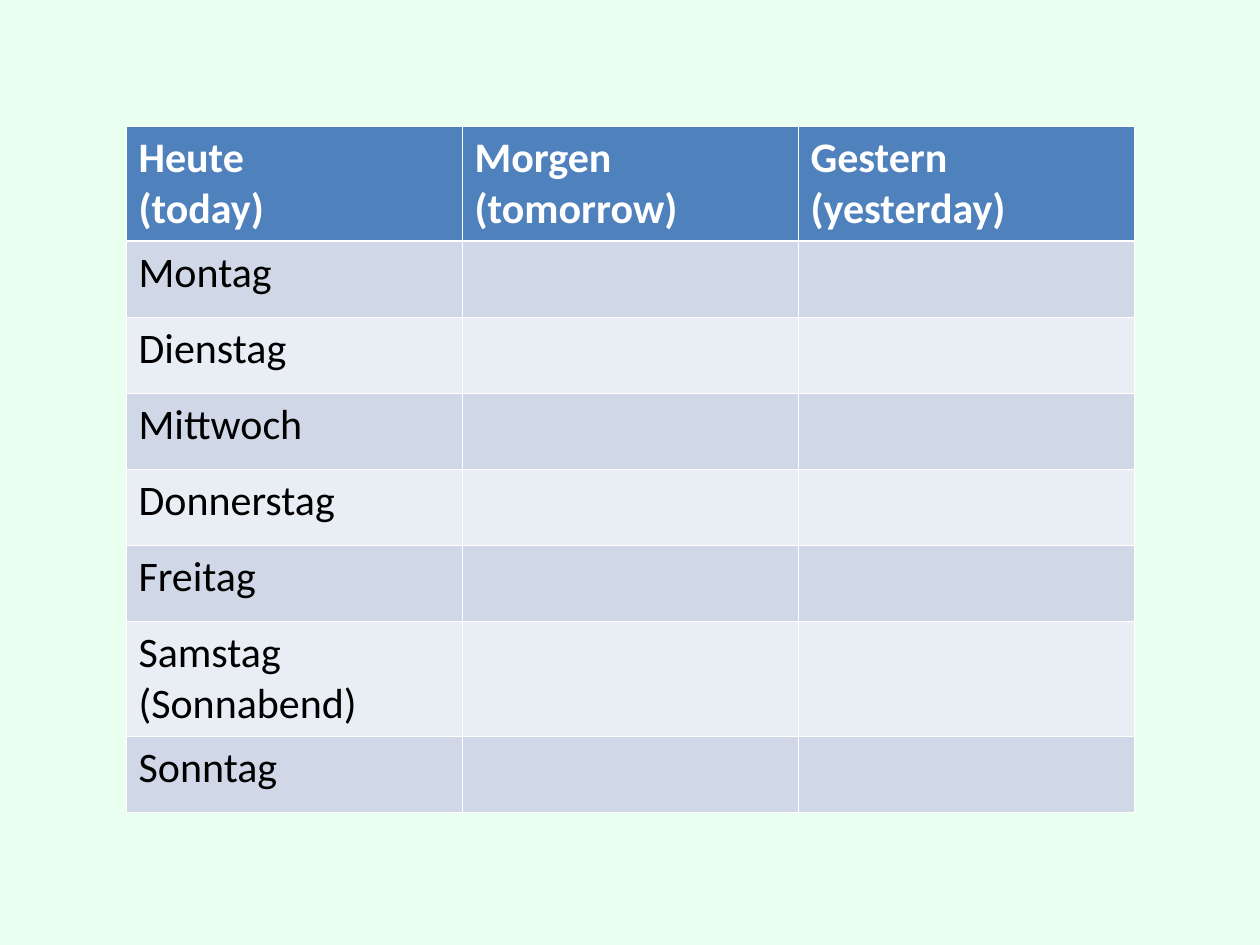
from dataclasses import dataclass

from lxml import etree
from pptx import Presentation, util as u
from pptx.dml.color import RGBColor
from pptx.oxml.ns import qn

SCALE = 914400 / 126  # EMU per px
COLORS = {
    "page": "E9FFEF",
    "head": "4F81BD",
    "odd": "D0D8E8",
    "even": "E9EDF4",
    "rule": "FFFFFF",
    "light": "FFFFFF",
    "dark": "000000",
}
LEFT, TOP, COL = 126, 126, 336
LOW, TALL = 76, 114
THIN, THICK = 0.45, 1.47


@dataclass
class Row:
    cells: list[str]
    high: int = LOW


ROWS = [
    Row(["Heute\n(today)", "Morgen (tomorrow)", "Gestern (yesterday)"], TALL),
    Row(["Montag"]),
    Row(["Dienstag"]),
    Row(["Mittwoch"]),
    Row(["Donnerstag"]),
    Row(["Freitag"]),
    Row(["Samstag (Sonnabend)"], TALL),
    Row(["Sonntag"]),
]


def px(size: int) -> u.Emu:
    return u.Emu(round(size * SCALE))


def rgb(name: str) -> RGBColor:
    return RGBColor.from_string(COLORS[name])


def rule(cell, side: str, width: float) -> None:
    line = etree.SubElement(cell._tc.get_or_add_tcPr(), qn(f"a:{side}"), w=str(u.Pt(width)))
    fill = etree.SubElement(line, qn("a:solidFill"))
    etree.SubElement(fill, qn("a:srgbClr"), val=COLORS["rule"])


def write(cell, words: str, head: bool) -> None:
    frame = cell.text_frame
    for i, line in enumerate(words.split("\n")):
        para = frame.add_paragraph() if i else frame.paragraphs[0]
        run = para.add_run()
        run.text = line
        font = run.font
        font.name, font.size, font.bold = "Calibri", u.Pt(24), head
        font.color.rgb = rgb("light" if head else "dark")


def draw(slide, rows: list[Row]) -> None:
    cols = len(rows[0].cells)
    high = sum(row.high for row in rows)
    table = slide.shapes.add_table(
        len(rows), cols, px(LEFT), px(TOP), px(COL * cols), px(high)
    ).table
    for col in table.columns:
        col.width = px(COL)
    for r, row in enumerate(rows):
        table.rows[r].height = px(row.high)
        tone = "head" if r == 0 else "odd" if r % 2 else "even"
        for c in range(cols):
            cell = table.cell(r, c)
            # Borders come before the fill in the cell's XML
            for side in ("lnL", "lnR", "lnT", "lnB"):
                thick = (r, side) in ((0, "lnB"), (1, "lnT"))
                rule(cell, side, THICK if thick else THIN)
            cell.fill.solid()
            cell.fill.fore_color.rgb = rgb(tone)
            if c < len(row.cells):
                write(cell, row.cells[c], r == 0)


def main() -> None:
    deck = Presentation()
    deck.slide_width, deck.slide_height = px(1260), px(945)
    slide = deck.slides.add_slide(deck.slide_layouts[6])

    # Page colour
    page = slide.background.fill
    page.solid()
    page.fore_color.rgb = rgb("page")

    # Weekday table
    draw(slide, ROWS)
    deck.save("out.pptx")


if __name__ == "__main__":
    main()
